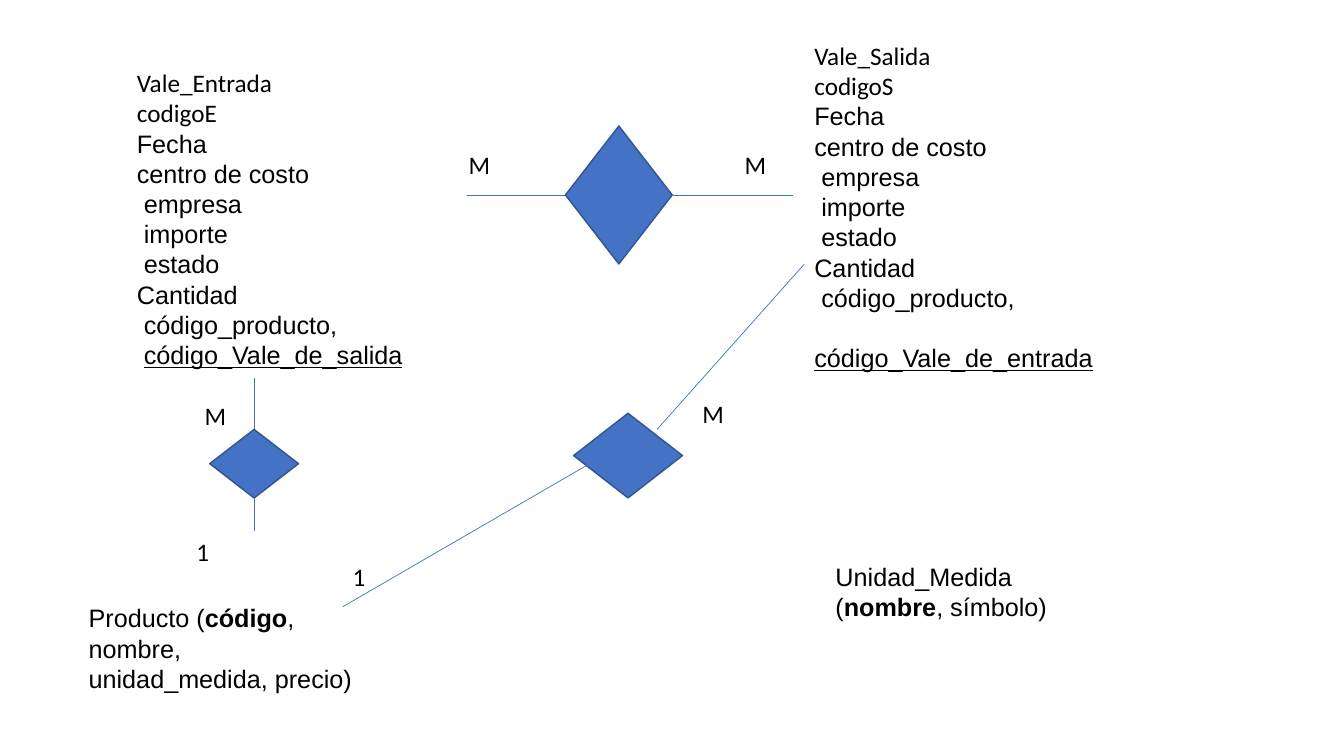
from pptx import Presentation
from pptx import util as u
from pptx.dml.color import RGBColor
from pptx.enum import shapes, text
from pptx.oxml import parse_xml

THEME = {
    "ink": RGBColor.from_string("000000"),
    "blue": RGBColor.from_string("4472C4"),
    "edge": RGBColor.from_string("325491"),
    "size": u.Pt(18),
    "label_font": "Calibri",
    "field_font": "Arial",
}
EFFECTS = '<a:effectLst xmlns:a="http://schemas.openxmlformats.org/drawingml/2006/main"/>'

deck = Presentation()
deck.slide_width, deck.slide_height = u.Pt(960), u.Pt(540)
slide = deck.slides.add_slide(deck.slide_layouts[6])


def write(box, paragraphs):
    frame = slide.shapes.add_textbox(*map(u.Pt, box)).text_frame
    frame.word_wrap = True
    frame.auto_size = text.MSO_AUTO_SIZE.SHAPE_TO_FIT_TEXT
    for index, runs in enumerate(paragraphs):
        line = frame.paragraphs[0] if index == 0 else frame.add_paragraph()
        for words, font, emphasis in runs:
            run = line.add_run()
            run.text = words
            run.font.name = font
            run.font.size = THEME["size"]
            run.font.color.rgb = THEME["ink"]
            run.font.bold = emphasis == "bold"
            run.font.underline = emphasis == "underline"


def link(start, end, diamond=None, side=None):
    connector = slide.shapes.add_connector(
        shapes.MSO_CONNECTOR.STRAIGHT, *map(u.Pt, start + end))
    connector.line.color.rgb = THEME["blue"]
    connector.line.width = u.Pt(0.5)
    connector._element.spPr.append(parse_xml(EFFECTS))
    if diamond is not None:
        connector.end_connect(diamond, side)


label_font, field_font = THEME["label_font"], THEME["field_font"]
shared_fields = ["Fecha", "centro de costo", " empresa", " importe",
                 " estado", "Cantidad", " código_producto,"]

vouchers = [
    ((90.7, 44.6, 226.1, 225.4), "Vale_Entrada", "codigoE", "código_Vale_de_salida"),
    ((574.6, 25.2, 213.8, 247), "Vale_Salida", "codigoS", "código_Vale_de_entrada"),
]
for box, entity, key, foreign_key in vouchers:
    heading = [[(words, label_font, None)] for words in (entity, key)]
    fields = [[(words, field_font, None)] for words in shared_fields]
    reference = [(" ", field_font, None), (foreign_key, field_font, "underline")]
    write(box, heading + fields + [reference])

catalogues = [
    ((56.2, 427, 209.5, 94.3), "Producto (", "código", ", nombre, unidad_medida, precio)"),
    ((589.7, 397.4, 209.5, 72.7), "Unidad_Medida (", "nombre", ", símbolo)"),
]
for box, entity, key, rest in catalogues:
    write(box, [[(entity, field_font, None), (key, field_font, "bold"),
                 (rest, field_font, None)]])

relations = []
for box in [(403.9, 90, 76.3, 98.6), (149.8, 306.7, 63.4, 49),
            (409.7, 295.2, 77.8, 60.5)]:
    relation = slide.shapes.add_shape(shapes.MSO_SHAPE.DIAMOND, *map(u.Pt, box))
    relation.shadow.inherit = False
    relation.fill.solid()
    relation.fill.fore_color.rgb = THEME["blue"]
    relation.line.color.rgb = THEME["edge"]
    relation.line.width = u.Pt(1)
    relations.append(relation)
between_vouchers, entry_product, exit_product = relations

link((333.4, 139.3), (403.9, 139.3), between_vouchers, 1)
link((566.6, 139.3), (480.2, 139.3), between_vouchers, 3)
link((181.5, 270), (181.5, 306.7), entry_product, 0)
link((181.5, 379.4), (181.5, 355.7), entry_product, 2)
link((244.8, 433.4), (421.2, 331.2))
link((469.4, 306.7), (574.6, 188.6))

cardinalities = [
    ("M", 327.6, 103, 36.7), ("M", 524.9, 103, 26.6),
    ("1", 133.2, 379.4, 28.1), ("1", 244.8, 397.4, 20.9),
    ("M", 494.6, 280.8, 59.8), ("M", 139, 282.2, 28.1),
]
for mark, left, top, width in cardinalities:
    write((left, top, width, 28.8), [[(mark, label_font, None)]])

deck.save("out.pptx")
